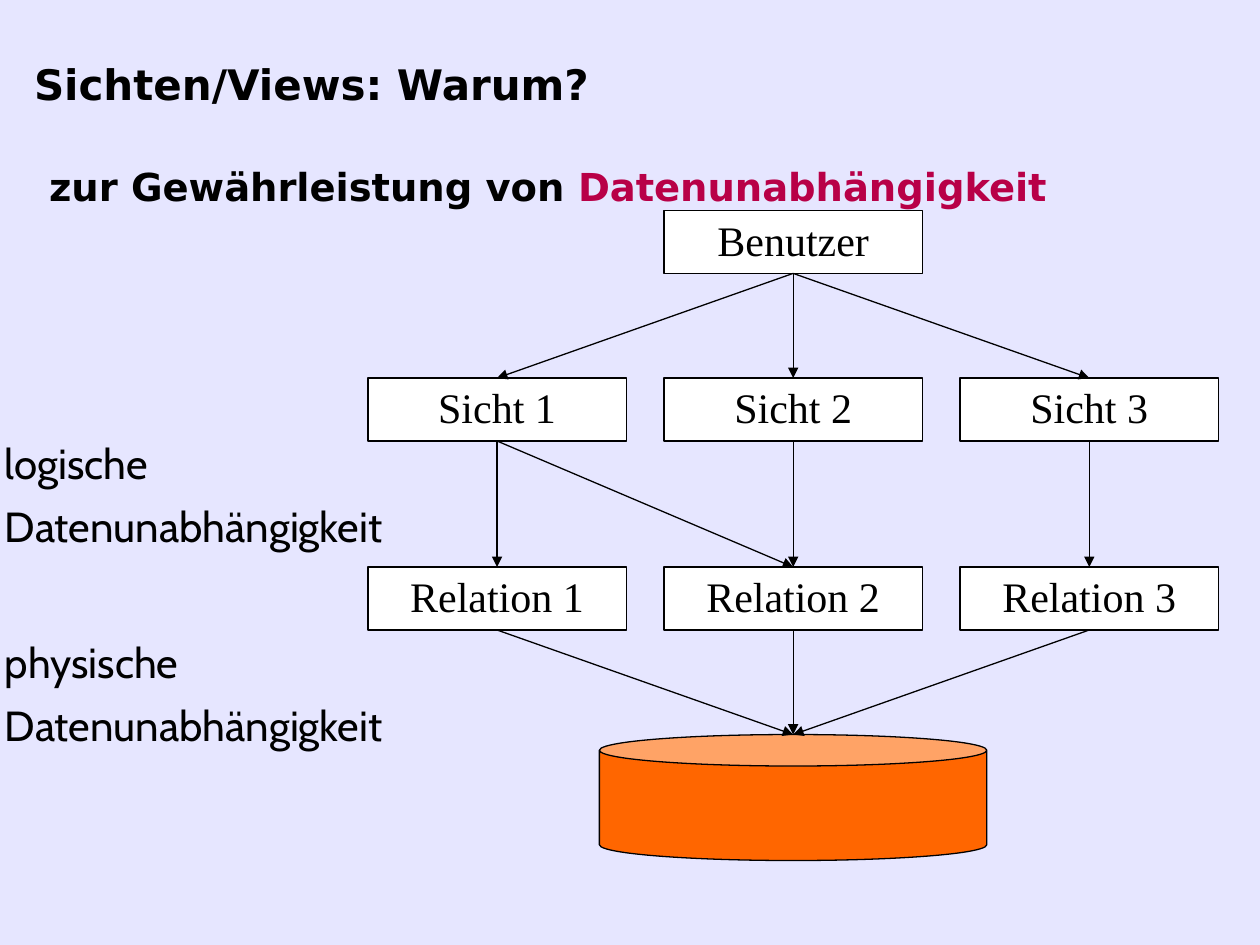
from lxml import etree
from pptx import Presentation
from pptx.dml.color import RGBColor
from pptx.enum.shapes import MSO_CONNECTOR, MSO_SHAPE
from pptx.enum.text import MSO_ANCHOR, PP_ALIGN
from pptx.oxml.ns import qn
from pptx.util import Inches, Pt

RECT, CAN = MSO_SHAPE.RECTANGLE, MSO_SHAPE.CAN
LINE = MSO_CONNECTOR.STRAIGHT
LEFT, CENTER = PP_ALIGN.LEFT, PP_ALIGN.CENTER
MIDDLE, BOTTOM = MSO_ANCHOR.MIDDLE, MSO_ANCHOR.BOTTOM

COLORS = {"back": "E6E6FF", "ink": "000000", "box": "FFFFFF",
          "store": "FF6600", "mark": "B80047"}
HEAD = {"name": "DejaVu Sans", "size": Pt(24), "bold": True}
SUB = {**HEAD, "size": Pt(22)}
NODE = {"name": "Times New Roman", "size": Pt(24), "bold": False}
NOTE = {**NODE, "name": "Cabin"}

# Diagram grid, in inches
COL, GAP, ROW = 2.05, 0.3, 0.5
TOPS = {"user": 1.67, "view": 3, "table": 4.5, "store": 5.83}


def color(key):
    return RGBColor.from_string(COLORS[key])


def write(par, text, form, key="ink"):
    run = par.add_run()
    run.text = text
    for name, value in form.items():
        setattr(run.font, name, value)
    run.font.color.rgb = color(key)


def add_title(slide, box):
    title = slide.shapes.title
    title.left, title.top, title.width, title.height = map(Inches, box)
    frame = title.text_frame
    frame.vertical_anchor = BOTTOM
    frame.word_wrap = True
    head, sub = frame.paragraphs[0], frame.add_paragraph()
    for par in (head, sub):
        par.alignment = LEFT
        par.line_spacing = 1.01
    # The second line is set in a little and stands apart
    sub.space_before = Pt(30.5)
    sub._p.get_or_add_pPr().set("marL", str(Inches(0.12)))
    write(head, "Sichten/Views: Warum?", HEAD)
    write(sub, "zur Gewährleistung von ", SUB)
    write(sub, "Datenunabhängigkeit", SUB, "mark")


def add_shape(slide, kind, box, fill):
    shape = slide.shapes.add_shape(kind, *map(Inches, box))
    shape.shadow.inherit = False
    shape.fill.solid()
    shape.fill.fore_color.rgb = color(fill)
    shape.line.color.rgb = color("ink")
    shape.line.width = Pt(0.75)
    return shape


def add_node(slide, text, box):
    frame = add_shape(slide, RECT, box, "box").text_frame
    frame.vertical_anchor = MIDDLE
    par = frame.paragraphs[0]
    par.alignment = CENTER
    par.line_spacing = 0.95
    write(par, text, NODE)


def add_arrow(slide, start, end):
    arrow = slide.shapes.add_connector(LINE, *map(Inches, (*start, *end)))
    arrow.line.color.rgb = color("ink")
    arrow.line.width = Pt(0.75)
    tip = etree.SubElement(arrow.line._get_or_add_ln(), qn("a:tailEnd"))
    tip.set("type", "triangle")
    etree.SubElement(arrow._element.spPr, qn("a:effectLst"))


def add_graph(slide, left):
    def side(col):
        return left + col * (COL + GAP)

    def link(upper, start, lower, end):
        add_arrow(slide, (side(start) + COL / 2, TOPS[upper] + ROW),
                  (side(end) + COL / 2, TOPS[lower]))

    # Boxes: one user above three views and three tables
    add_node(slide, "Benutzer", (side(1), TOPS["user"], COL, ROW))
    for row, word in (("view", "Sicht"), ("table", "Relation")):
        for col in range(3):
            add_node(slide, f"{word} {col + 1}",
                     (side(col), TOPS[row], COL, ROW))

    # Data store, centred below the middle column
    wide = COL * 1.5
    add_shape(slide, CAN, (side(1) + (COL - wide) / 2, TOPS["store"],
                           wide, 2 * ROW), "store")

    # Arrows between the levels
    for col in range(3):
        link("user", 1, "view", col)
        link("view", col, "table", col)
        link("table", col, "store", 1)
    link("view", 0, "table", 1)


def add_note(slide, lines, box):
    frame = slide.shapes.add_textbox(*map(Inches, box)).text_frame
    frame.word_wrap = True
    for i, text in enumerate(lines):
        par = frame.add_paragraph() if i else frame.paragraphs[0]
        if i:
            par.space_before = Pt(7.5)
        write(par, text, NOTE)


def main():
    deck = Presentation()
    deck.slide_width, deck.slide_height = Inches(10), Inches(7.5)
    slide = deck.slides.add_slide(deck.slide_layouts[5])
    slide.background.fill.solid()
    slide.background.fill.fore_color.rgb = color("back")

    add_title(slide, (0.17, 0.23, 9.08, 1.48))
    add_graph(slide, 2.92)
    for word, top in (("logische", 3.42), ("physische", 5)):
        add_note(slide, (word, "Datenunabhängigkeit"),
                 (-0.06, top, 3.61, 1.12))
    deck.save("out.pptx")


if __name__ == "__main__":
    main()
